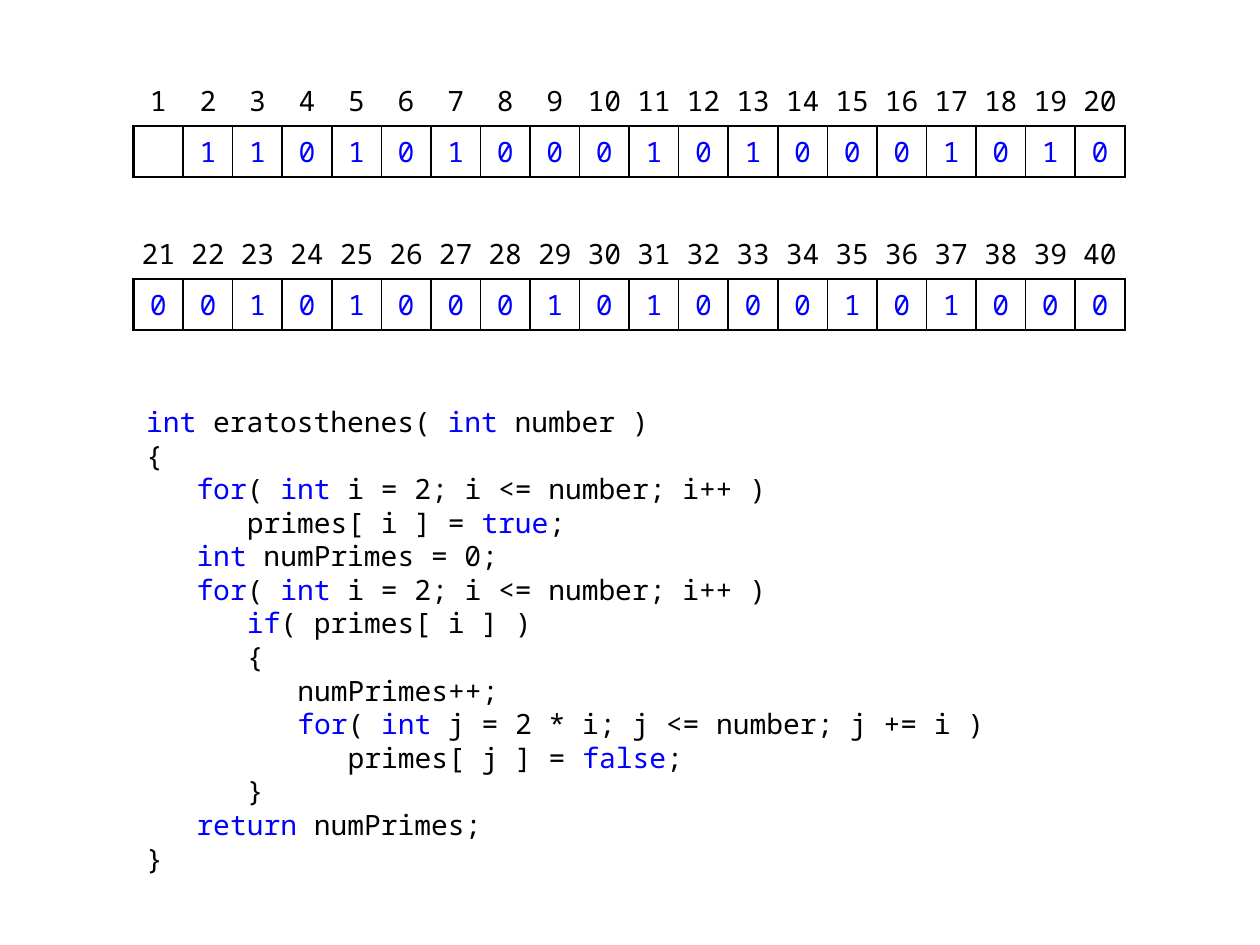
from dataclasses import dataclass

from lxml import etree
from pptx import Presentation
from pptx import util as u
from pptx.dml.color import RGBColor
from pptx.enum import text
from pptx.oxml import ns

FONT = "Noto Sans Mono"
BLACK, BLUE = "000000", "0000FF"
COLS = 20
SIDE = 7.87 / COLS
LEFT = 1.06
NO_STYLE = "{2D5ABB26-0587-4C30-8999-92F81FD0307C}"


@dataclass(frozen=True)
class SieveBlock:
    """One numbered strip of prime flags."""
    row: int
    first: int
    flags: str


@dataclass(frozen=True)
class CodeLine:
    """A line of code; keywords stand between backticks."""
    level: int
    code: str


BLOCKS = [
    SieveBlock(0, 1, " 1101010001010001010"),
    SieveBlock(3, 21, "00101000101000101000"),
]
CODE = [
    CodeLine(0, "`int` eratosthenes( `int` number )"),
    CodeLine(0, "{"),
    CodeLine(1, "`for`( `int` i = 2; i <= number; i++ )"),
    CodeLine(2, "primes[ i ] = `true`;"),
    CodeLine(1, "`int` numPrimes = 0;"),
    CodeLine(1, "`for`( `int` i = 2; i <= number; i++ )"),
    CodeLine(2, "`if`( primes[ i ] )"),
    CodeLine(2, "{"),
    CodeLine(3, "numPrimes++;"),
    CodeLine(3, "`for`( `int` j = 2 * i; j <= number; j += i )"),
    CodeLine(4, "primes[ j ] = `false`;"),
    CodeLine(2, "}"),
    CodeLine(1, "`return` numPrimes;"),
    CodeLine(0, "}"),
]


def apply(obj, formats: dict) -> None:
    """Set each attribute of obj from a dict."""
    for name, value in formats.items():
        setattr(obj, name, value)


def add_run(p, words: str, color: str) -> None:
    """Add a run in the slide's code font."""
    r = p.add_run()
    r.text = words
    apply(r.font, {"name": FONT, "size": u.Pt(16)})
    r.font.color.rgb = RGBColor.from_string(color)


def add_border(cell, side: str, width: float) -> None:
    """Draw one black border of a cell; side is L, R, T or B."""
    ln = etree.SubElement(cell._tc.get_or_add_tcPr(), ns.qn(f"a:ln{side}"), w=str(u.Pt(width)))
    fill = etree.SubElement(ln, ns.qn("a:solidFill"))
    etree.SubElement(fill, ns.qn("a:srgbClr"), val=BLACK)


def fill_cell(cell, words: str, color: str) -> None:
    """Put centred text in a cell."""
    apply(cell, {"margin_left": 0, "margin_right": 0,
                 "margin_top": u.Inches(0.05), "margin_bottom": u.Inches(0.05),
                 "vertical_anchor": text.MSO_ANCHOR.MIDDLE})
    p = cell.text_frame.paragraphs[0]
    p.alignment = text.PP_ALIGN.CENTER
    add_run(p, words, color)


def add_sieve(s) -> None:
    """Add the table of numbers and their prime flags."""
    frame = s.shapes.add_table(5, COLS, u.Inches(LEFT), u.Inches(0.6),
                               u.Inches(SIDE * COLS), u.Inches(SIDE * 5))
    table = frame.table
    apply(table, {"first_row": False, "horz_banding": False})
    table._tbl.tblPr.find(ns.qn("a:tableStyleId")).text = NO_STYLE
    for block in BLOCKS:
        for col, flag in enumerate(block.flags):
            fill_cell(table.cell(block.row, col), str(block.first + col), BLACK)
            cell = table.cell(block.row + 1, col)
            if flag.strip():
                fill_cell(cell, flag, BLUE)
            widths = {"L": 1 if col else 1.5, "R": 1 if col < COLS - 1 else 1.5,
                      "T": 1.5, "B": 1.5}
            for side, width in widths.items():
                add_border(cell, side, width)
    for cell in table.iter_cells():
        cell.fill.background()


def add_code(sp) -> None:
    """Write the code listing in the body placeholder."""
    apply(sp, {"left": u.Inches(LEFT), "top": u.Inches(3.16),
               "width": u.Inches(7.88), "height": u.Inches(3.74)})
    tf = sp.text_frame
    apply(tf, {"word_wrap": True, "auto_size": text.MSO_AUTO_SIZE.NONE,
               "vertical_anchor": text.MSO_ANCHOR.TOP})
    for i, line in enumerate(CODE):
        p = tf.add_paragraph() if i else tf.paragraphs[0]
        apply(p, {"space_before": u.Pt(0), "space_after": u.Pt(0),
                  "line_spacing": u.Pt(19.2), "alignment": text.PP_ALIGN.LEFT})
        pPr = p._p.get_or_add_pPr()
        pPr.set("marL", str(u.Inches(0.4 * line.level)))
        pPr.set("indent", "0")
        etree.SubElement(pPr, ns.qn("a:buNone"))
        for k, part in enumerate(line.code.split("`")):
            if part:
                add_run(p, part, BLUE if k % 2 else BLACK)


def main() -> None:
    """Build the slide and save it."""
    prs = Presentation()
    apply(prs, {"slide_width": u.Inches(10), "slide_height": u.Inches(7.5)})
    s = prs.slides.add_slide(prs.slide_layouts[1])
    title = s.shapes.title._element
    title.getparent().remove(title)
    add_code(s.placeholders[1])
    add_sieve(s)
    prs.save("out.pptx")


main()
